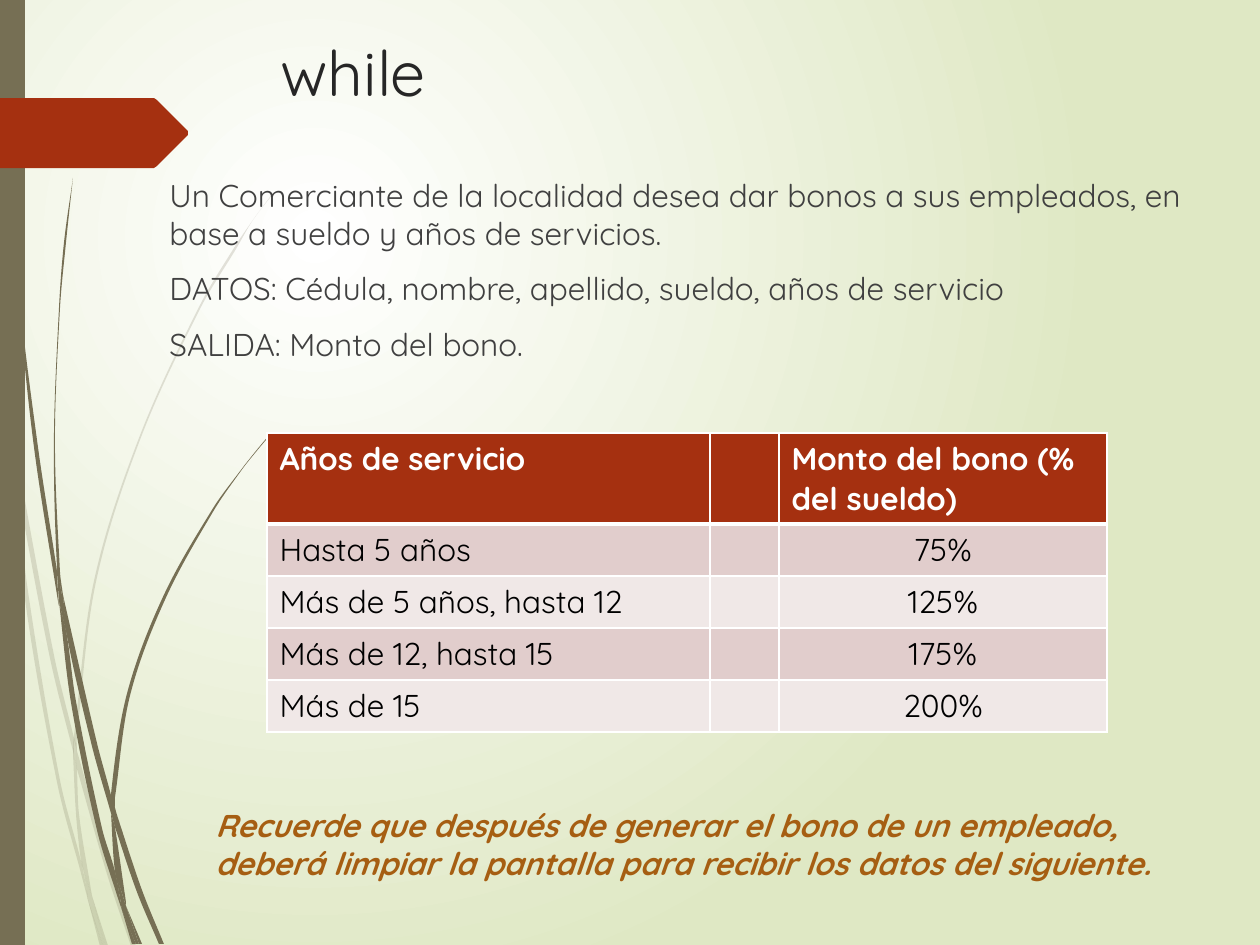
import pptx
import pptx.util
import pptx.dml.color
import pptx.enum.shapes
import pptx.enum.text
import pptx.oxml.ns
from lxml import etree

PX = 914400 / 126
WIDE, HIGH = 1260, 945
FONT = "Quicksand"
HEX = {"olive": "766F54", "rust": "A53010", "white": "FFFFFF", "pale": "DFE8C4",
       "dark": "262626", "gray": "404040", "black": "000000", "amber": "A65E12",
       "odd": "E1CDCC", "even": "F0E8E7"}

TITLE = ["while"]
BODY = ["Un Comerciante de la localidad desea dar bonos a sus empleados, "
        "en base a sueldo y años de servicios.",
        "DATOS: Cédula, nombre, apellido, sueldo, años de servicio",
        "SALIDA: Monto del bono."]
NOTE = ["Recuerde que después de generar el bono de un empleado,",
        "deberá limpiar la pantalla para recibir los datos del siguiente."]
ROWS = [("Años de servicio", "", "Monto del bono (% del sueldo)"),
        ("Hasta 5 años", "", "75%"),
        ("Más de 5 años, hasta 12", "", "125%"),
        ("Más de 12, hasta 15", "", "175%"),
        ("Más de 15", "", "200%")]
COLS = [443, 69, 328]
TALL = [91, 52, 52, 52, 52]

# Each piece of grass: one edge, then the other edge back.
FAINT = [
    ([(10, 441), (8, 406), (0, 355)], [(0, 377), (9, 433), (10, 441)]),
    ([(13, 435), (54, 655), (74, 738)], [(74, 755), (50, 658), (15, 474)]),
    ([(77, 751), (81, 765), (111, 872), (136, 946)], [(131, 946), (107, 874), (77, 769)]),
    ([(92, 896), (108, 946)], [(105, 946), (92, 896)]),
    ([(10, 441), (24, 592), (57, 782), (81, 873), (88, 900)],
     [(88, 900), (87, 891), (81, 861), (60, 780), (28, 591), (15, 474), (10, 441)]),
    ([(73, 755), (76, 814), (81, 861), (84, 872), (92, 896)],
     [(92, 896), (91, 890), (79, 814), (77, 769), (77, 766), (73, 755)]),
    ([(273, 193), (253, 220), (234, 248), (199, 307), (139, 438), (94, 581),
      (74, 736), (74, 738), (77, 751)],
     [(77, 751), (77, 736), (96, 582), (140, 440), (200, 309), (236, 249),
      (253, 220), (273, 194)]),
    ([(88, 900), (100, 946)], [(103, 946), (88, 900)]),
    ([(73, 755), (77, 766), (77, 769)], [(77, 751), (74, 738), (73, 755)]),
    ([(82, 861), (87, 891), (88, 900), (103, 946)],
     [(105, 946), (92, 896), (84, 872), (82, 861)]),
]
SOLID = [
    ([(3, 0), (4, 60), (6, 139), (18, 294), (34, 447), (58, 601), (59, 606)],
     [(57, 576), (57, 571), (38, 447), (19, 292), (8, 137), (5, 60), (4, 0)]),
    ([(63, 595), (67, 636), (92, 746), (111, 813)],
     [(111, 798), (111, 795), (97, 743), (63, 595)]),
    ([(115, 808), (118, 818), (142, 890), (164, 944)], [(159, 944), (137, 892), (115, 827)]),
    ([(59, 601), (71, 702), (97, 830), (116, 892), (122, 910)],
     [(121, 903), (115, 871), (102, 828), (76, 701), (67, 636), (59, 601)]),
    ([(73, 178), (64, 243), (59, 309), (54, 440), (57, 566), (62, 595)],
     [(63, 595), (60, 571), (55, 440), (60, 309), (66, 243), (73, 178)]),
    ([(126, 906), (139, 944)], [(142, 944), (126, 906)]),
    ([(59, 601), (67, 636)], [(63, 595), (62, 595), (57, 566), (57, 571), (59, 601)]),
    ([(271, 433), (256, 451), (241, 470), (212, 510), (163, 597), (127, 694),
      (111, 795), (115, 808)],
     [(115, 798), (130, 696), (165, 600), (213, 512), (241, 471), (256, 452), (272, 433)]),
    ([(122, 910), (132, 944)], [(136, 944), (122, 910)]),
    ([(111, 813), (115, 871), (121, 890), (126, 906)],
     [(126, 902), (115, 827), (113, 820), (111, 813)]),
    ([(111, 813), (113, 820), (115, 827)], [(115, 808), (111, 795), (111, 798), (111, 813)]),
    ([(115, 871), (121, 903), (122, 910), (136, 944)],
     [(139, 944), (126, 906), (121, 890), (115, 871)]),
]
FLAG = [(0, 98), (154, 98), (157, 100), (188, 131), (188, 135), (157, 166),
        (154, 168), (0, 168)]


def emu(n):
    return pptx.util.Emu(round(n * PX))


def rgb(name):
    return pptx.dml.color.RGBColor.from_string(HEX[name])


def qn(tag):
    return pptx.oxml.ns.qn(tag)


def add(parent, tag, **attrs):
    return etree.SubElement(parent, qn(tag), attrs)


def paint(shape, color, alpha=None):
    shape.shadow.inherit = False
    shape.fill.solid()
    shape.fill.fore_color.rgb = rgb(color)
    shape.line.fill.background()
    if alpha:
        add(shape._element.spPr.find(".//" + qn("a:srgbClr")), "a:alpha",
            val=str(alpha * 1000))


def curve(pts):
    """Bezier points, three per step, of a smooth line through pts."""
    out = []
    ends = [pts[0]] + pts + [pts[-1]]
    for a, b, c, d in zip(ends, ends[1:], ends[2:], ends[3:]):
        gaps = [max(abs(p[0] - q[0]) + abs(p[1] - q[1]), 0.01)
                for p, q in ((a, b), (b, c), (c, d))]
        into = gaps[1] / (gaps[0] + gaps[1]) / 3
        away = gaps[1] / (gaps[1] + gaps[2]) / 3
        out += [tuple(b[i] + (c[i] - a[i]) * into for i in (0, 1)),
                tuple(c[i] - (d[i] - b[i]) * away for i in (0, 1)), c]
    return out


def trace(shapes, pts, color, alpha=None, bent=False):
    """Filled outline; when bent, pts after the first are Bezier triples."""
    pts = [(emu(x), emu(y)) for x, y in pts]
    form = shapes.build_freeform(*pts[0], scale=1.0)
    form.add_line_segments(pts[1:], close=True)
    shape = form.convert_to_shape()
    paint(shape, color, alpha)
    if bent:
        steps = shape._element.spPr.findall(".//" + qn("a:lnTo"))[:len(pts) - 1]
        for first, *rest in zip(steps[::3], steps[1::3], steps[2::3]):
            bend = etree.Element(qn("a:cubicBezTo"))
            first.addprevious(bend)
            for step in (first, *rest):
                bend.append(step[0])
                step.getparent().remove(step)


def write(frame, lines, size=18, color="black", bold=False, slant=False,
          mid=False, gap=0):
    frame.word_wrap = True
    for i, line in enumerate(lines):
        para = frame.paragraphs[0] if i == 0 else frame.add_paragraph()
        align = pptx.enum.text.PP_ALIGN
        para.alignment = align.CENTER if mid else align.LEFT
        para.space_before = pptx.util.Pt(gap)
        run = para.add_run()
        run.text = line
        font = run.font
        font.name, font.size = FONT, pptx.util.Pt(size)
        font.bold, font.italic = bold, slant
        font.color.rgb = rgb(color)


def label(slide, box, lines, **style):
    write(slide.shapes.add_textbox(*map(emu, box)).text_frame, lines, **style)


def edge(cell, base):
    props = cell._tc.get_or_add_tcPr()
    for i, (side, width) in enumerate(zip("LRTB", (1, 1, 1, base))):
        line = add(props, "a:ln" + side, w=str(width * 12700))
        add(add(line, "a:solidFill"), "a:srgbClr", val=HEX["white"])
        props.insert(i, line)


def grid(slide):
    table = slide.shapes.add_table(
        len(ROWS), len(COLS), *map(emu, (267, 433, sum(COLS), sum(TALL)))).table
    for col, width in zip(table.columns, COLS):
        col.width = emu(width)
    for r, texts in enumerate(ROWS):
        table.rows[r].height = emu(TALL[r])
        head = r == 0
        for c, text in enumerate(texts):
            cell = table.cell(r, c)
            cell.fill.solid()
            cell.fill.fore_color.rgb = rgb("rust" if head else "odd" if r % 2 else "even")
            edge(cell, 3 if head else 1)
            if text:
                write(cell.text_frame, [text], bold=head, mid=c == 2 and not head,
                      color="white" if head else "black")


def shade(slide):
    """Radial background from white to pale green."""
    fill = slide.background.fill
    fill.gradient()
    for stop, name in zip(fill.gradient_stops, ("white", "pale")):
        stop.color.rgb = rgb(name)
    grad = slide._element.find(".//" + qn("a:gradFill"))
    grad.remove(grad.find(qn("a:lin")))
    add(add(grad, "a:path", path="circle"), "a:fillToRect",
        l="50000", t="50000", r="100000", b="100000")


def main():
    deck = pptx.Presentation()
    deck.slide_width, deck.slide_height = emu(WIDE), emu(HIGH)
    slide = deck.slides.add_slide(deck.slide_layouts[6])
    shade(slide)
    for blades, alpha in ((FAINT, 20), (SOLID, None)):
        tuft = slide.shapes.add_group_shape().shapes
        for out, back in blades:
            join = [out[-1], back[0], back[0]]
            trace(tuft, out[:1] + curve(out) + join + curve(back), "olive", alpha, True)
    bar = slide.shapes.add_shape(pptx.enum.shapes.MSO_SHAPE.RECTANGLE,
                                 *map(emu, (0, 0, 25, HIGH)))
    paint(bar, "olive")
    trace(slide.shapes, FLAG, "rust")
    label(slide, (268, 27, 908, 118), TITLE, size=36, color="dark")
    label(slide, (157, 170, 1092, 581), BODY, color="gray", gap=10)
    grid(slide)
    label(slide, (203, 800, 1009, 89), NOTE, color="amber", bold=True, slant=True)
    deck.save("out.pptx")


if __name__ == "__main__":
    main()
